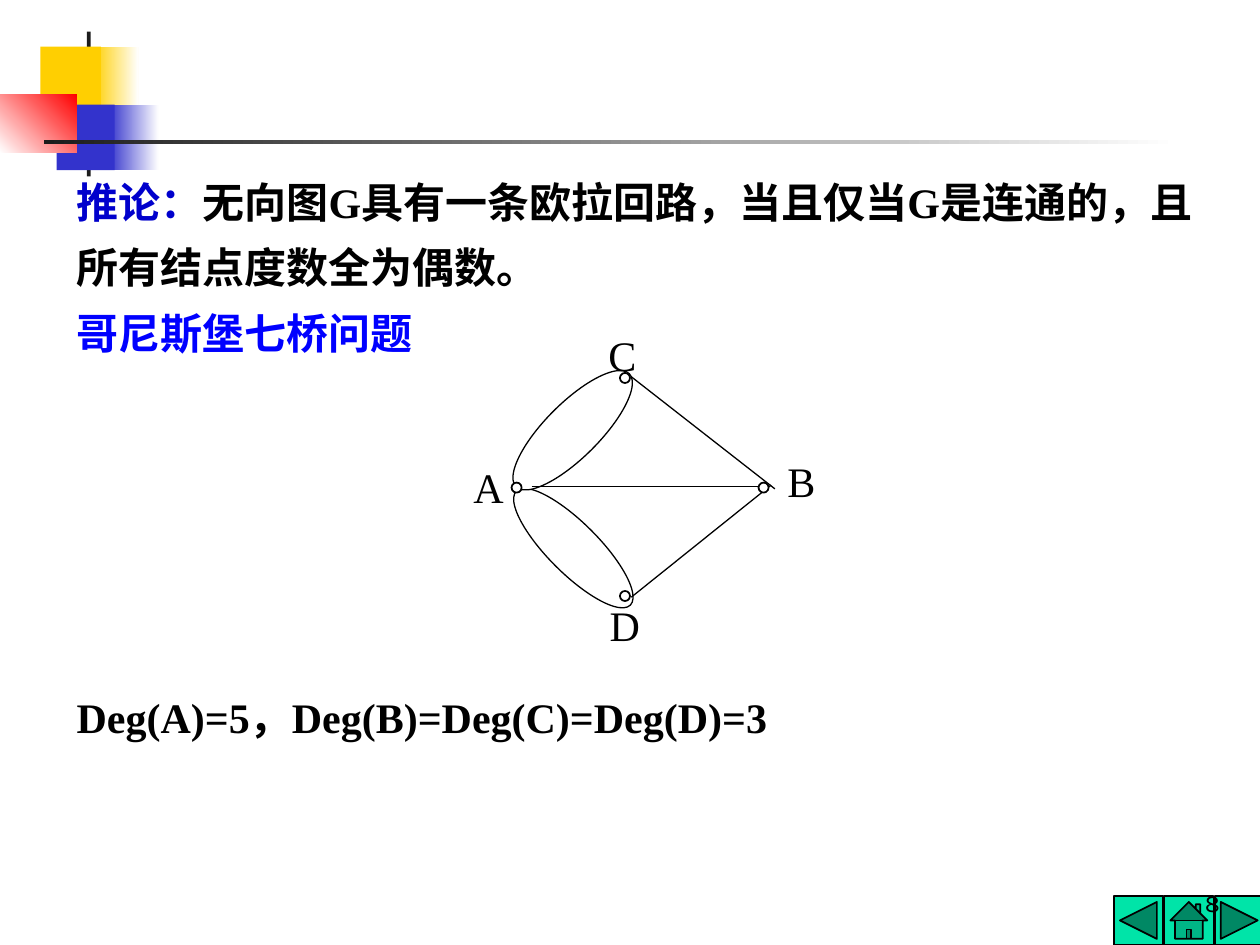
from dataclasses import dataclass

from lxml import etree
from pptx import Presentation
from pptx.dml.color import RGBColor
from pptx.enum import shapes, text
from pptx.oxml import ns
from pptx.util import Inches, Pt

PRESET = shapes.MSO_SHAPE


@dataclass(frozen=True)
class Theme:
    black: str = "000000"
    white: str = "FFFFFF"
    ink: str = "1C1C1C"
    yellow: str = "FFCF01"
    indigo: str = "3333CC"
    red: str = "FF0000"
    button: str = "00E4A8"
    term: str = "0000CC"
    heading: str = "0000FF"
    body_font: str = "Times New Roman"
    number_font: str = "Karla"
    body_size: int = 24
    number_size: int = 14
    spacing: float = 1.3


THEME = Theme()


def rgb(value):
    return RGBColor.from_string(value)


def add_shape(slide, preset, box, fill, line_width=None, rotation=0):
    shape = slide.shapes.add_shape(preset, *map(Inches, box))
    shape.shadow.inherit = False
    shape.rotation = rotation
    shape.fill.solid()
    shape.fill.fore_color.rgb = rgb(fill)
    if line_width:
        shape.line.color.rgb = rgb(THEME.black)
        shape.line.width = Pt(line_width)
    else:
        shape.line.fill.background()
    return shape


def add_gradient(slide, box, start, end, angle=0):
    shape = add_shape(slide, PRESET.RECTANGLE, box, start)
    shape.fill.gradient()
    shape.fill.gradient_angle = angle
    for stop, color, position in zip(shape.fill.gradient_stops, (start, end), (0, 1)):
        stop.color.rgb = rgb(color)
        stop.position = position


def add_edge(slide, start, end):
    edge = slide.shapes.add_connector(
        shapes.MSO_CONNECTOR.STRAIGHT, *map(Inches, (*start, *end)))
    edge.line.color.rgb = rgb(THEME.black)
    edge.line.width = Pt(0.75)
    etree.SubElement(edge._element.spPr, ns.qn("a:effectLst"))


def add_text(slide, box, paragraphs, bold=False, spacing=None, size=THEME.body_size,
             font=THEME.body_font, align=text.PP_ALIGN.LEFT,
             anchor=text.MSO_ANCHOR.TOP):
    """Write paragraphs, each a list of (wording, colour) runs."""
    frame = slide.shapes.add_textbox(*map(Inches, box)).text_frame
    frame.word_wrap = True
    frame.vertical_anchor = anchor
    for index, runs in enumerate(paragraphs):
        paragraph = frame.add_paragraph() if index else frame.paragraphs[0]
        paragraph.alignment = align
        paragraph.line_spacing = spacing
        for wording, color in runs:
            run = paragraph.add_run()
            run.text = wording
            run.font.name = font
            run.font.size = Pt(size)
            run.font.bold = bold
            run.font.color.rgb = rgb(color)


def add_ornament(slide):
    add_gradient(slide, (0.74, 0.37, 0.36, 0.52), THEME.yellow, THEME.white)
    add_gradient(slide, (0.86, 0.83, 0.4, 0.52), THEME.indigo, THEME.white)
    for box, color in (((0.69, 0.25, 0.03, 1.15), THEME.ink),
                       ((0.32, 0.37, 0.48, 0.52), THEME.yellow),
                       ((0.45, 0.83, 0.46, 0.52), THEME.indigo)):
        add_shape(slide, PRESET.RECTANGLE, box, color)
    add_gradient(slide, (0, 0.75, 0.61, 0.46), THEME.white, THEME.red, angle=45)
    add_gradient(slide, (0.35, 1.11, 9, 0.03), THEME.ink, THEME.white)


def add_navigation(slide):
    buttons = (PRESET.ACTION_BUTTON_BACK_OR_PREVIOUS, PRESET.ACTION_BUTTON_HOME,
               PRESET.ACTION_BUTTON_FORWARD_OR_NEXT)
    for index, preset in enumerate(buttons):
        add_shape(slide, preset, (8.84 + 0.4 * index, 7.11, 0.39, 0.39),
                  THEME.button, line_width=1)


def add_bridge_graph(slide):
    for box, rotation in (((4.35, 3.71, 0.4, 1.28), 135),
                          ((4.33, 2.78, 0.43, 1.27), 45)):
        add_shape(slide, PRESET.OVAL, box, THEME.white, 0.75, rotation)
    for start, end in (((4.22, 3.86), (6.1, 3.86)),
                       ((5.01, 2.99), (6.15, 3.88)),
                       ((5.01, 4.74), (6.12, 3.85))):
        add_edge(slide, start, end)
    vertices = {"A": ((4.06, 3.83), (3.66, 3.61)),
                "D": ((4.92, 4.69), (4.74, 4.71)),
                "C": ((4.92, 2.96), (4.73, 2.57)),
                "B": ((6.02, 3.83), (6.15, 3.57))}
    for name, (node, label) in vertices.items():
        add_text(slide, (*label, 0.33, 0.5), [[(name, THEME.black)]])
        add_shape(slide, PRESET.FLOWCHART_CONNECTOR, (*node, 0.08, 0.08),
                  THEME.white, line_width=1)


def main():
    deck = Presentation()
    deck.slide_width, deck.slide_height = Inches(10), Inches(7.5)
    slide = deck.slides.add_slide(deck.slide_layouts[6])
    add_ornament(slide)
    add_navigation(slide)
    add_text(slide, (7.7, 6.83, 2.08, 0.5), [[("8", THEME.black)]],
             size=THEME.number_size, font=THEME.number_font,
             align=text.PP_ALIGN.RIGHT, anchor=text.MSO_ANCHOR.BOTTOM)
    add_text(slide, (0.51, 5.32, 9.05, 0.62),
             [[("Deg(A)=5，Deg(B)=Deg(C)=Deg(D)=3", THEME.black)]],
             bold=True, spacing=THEME.spacing)
    add_bridge_graph(slide)
    corollary = [("推论：", THEME.term),
                 ("无向图G具有一条欧拉回路，当且仅当G是连通的，且所有结点度数全为偶数。",
                  THEME.black)]
    add_text(slide, (0.51, 1.23, 9.05, 1.66),
             [corollary, [("哥尼斯堡七桥问题", THEME.heading)]],
             bold=True, spacing=THEME.spacing)
    deck.save("out.pptx")


if __name__ == "__main__":
    main()
